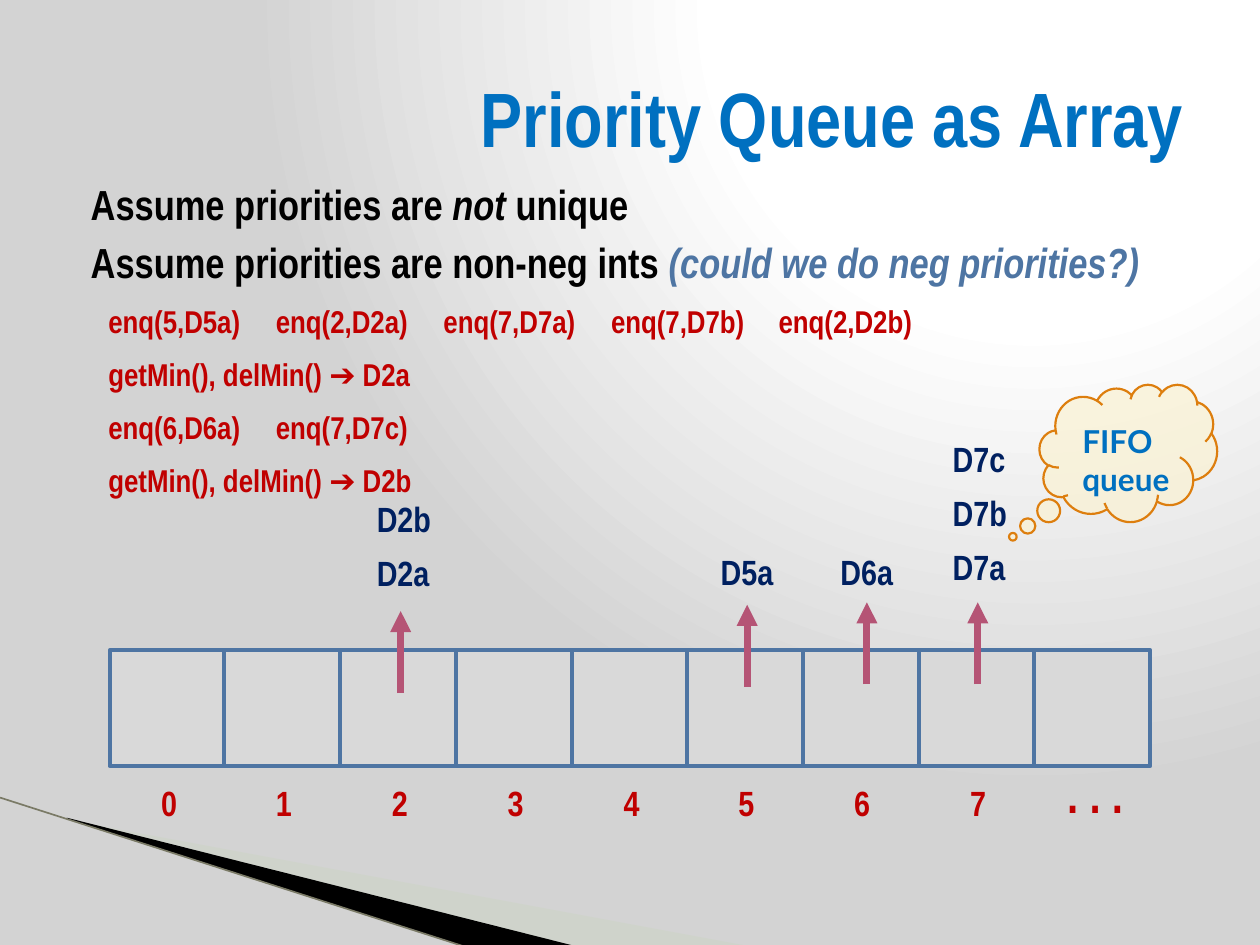
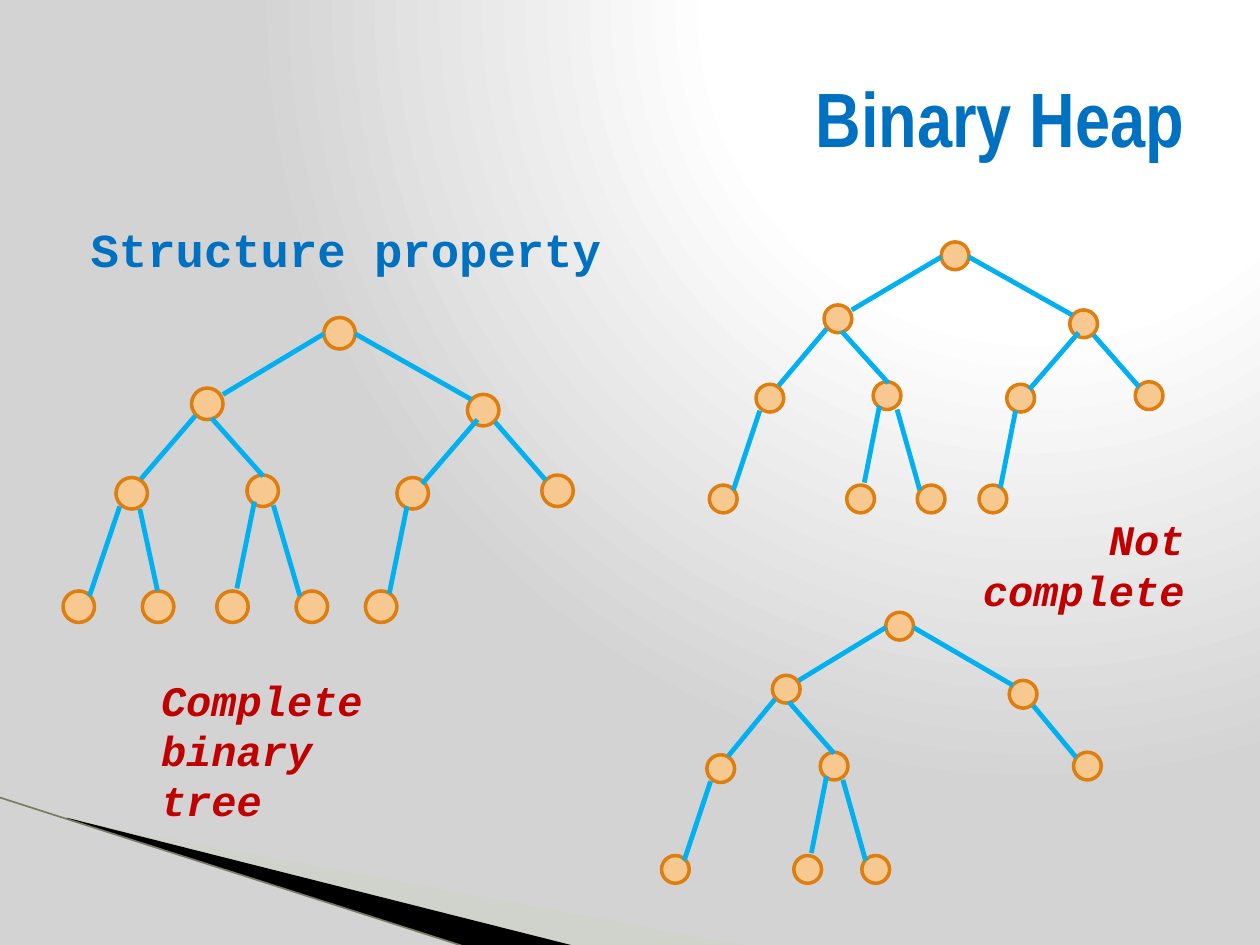
"""Build two slides on priority queues: an array of buckets and the binary heap structure."""
from lxml.etree import SubElement
from pptx import Presentation
from pptx.dml.color import RGBColor
from pptx.enum.shapes import MSO_CONNECTOR, MSO_SHAPE
from pptx.enum.text import MSO_ANCHOR, PP_ALIGN
from pptx.oxml import parse_xml
from pptx.oxml.ns import nsdecls, qn
from pptx.util import Pt

PX = 9144
STRAIGHT = MSO_CONNECTOR.STRAIGHT
RECTANGLE, OVAL, CLOUD = MSO_SHAPE.RECTANGLE, MSO_SHAPE.OVAL, MSO_SHAPE.CLOUD_CALLOUT
RIGHT, MIDDLE = PP_ALIGN.RIGHT, MSO_ANCHOR.MIDDLE

BLUE, STEEL, SKY, NAVY = "0070C0", "4E75A3", "00B0F0", "002060"
RED, ORANGE, PEACH, CREAM = "C00000", "DD7E0E", "F8C891", "FAF2D4"
ROSE, GREY, SAGE, OLIVE, BLACK = "B55475", "D9D9D9", "CBD4C0", "7A7A66", "000000"
NARROW, MONO, ROUND = "Arial Narrow", "Courier New", "Lato"


def paint(item, fill=None, line=None, width=1, alpha=None):
    if fill:
        item.fill.solid()
        item.fill.fore_color.rgb = RGBColor.from_string(fill)
    if alpha:
        color = item.element.spPr.find(".//" + qn("a:srgbClr"))
        SubElement(color, qn("a:alpha"), val=str(alpha * 1000))
    if line:
        item.line.color.rgb = RGBColor.from_string(line)
        item.line.width = Pt(width)
    else:
        item.line.fill.background()
    SubElement(item.element.spPr, qn("a:effectLst"))


def write(shape, text, font=NARROW, size=18, color=RED, italic=False, align=None,
          indent=12, space_before=None, new_paragraph=False):
    frame = shape.text_frame
    frame.word_wrap = True
    frame.margin_left = (10 + indent) * PX
    paragraph = frame.add_paragraph() if new_paragraph else frame.paragraphs[-1]
    if align:
        paragraph.alignment = align
    if space_before:
        paragraph.space_before = Pt(space_before)
    run = paragraph.add_run()
    run.text = text
    run.font.name = font
    run.font.size = Pt(size)
    run.font.bold = True
    run.font.italic = italic
    run.font.color.rgb = RGBColor.from_string(color)


presentation = Presentation()
presentation.slide_width = 1000 * PX
presentation.slide_height = 750 * PX
master = presentation.slide_master
layout = presentation.slide_layouts.get_by_name("Title Only")

master.background.fill.solid()
solid_fill = master.element.find(".//" + qn("p:bgPr")).find(qn("a:solidFill"))
solid_fill.getparent().replace(solid_fill, parse_xml(
    f'<a:gradFill {nsdecls("a")} rotWithShape="1"><a:gsLst>'
    '<a:gs pos="0"><a:srgbClr val="FFFFFF"/></a:gs>'
    '<a:gs pos="40000"><a:srgbClr val="FFFFFF"/></a:gs>'
    '<a:gs pos="100000"><a:srgbClr val="D3D3D3"/></a:gs></a:gsLst>'
    '<a:path path="circle"><a:fillToRect l="65000" t="0" r="0" b="98000"/></a:path>'
    '</a:gradFill>'))

slides = []
for title_text in ("Priority Queue as Array", "Binary Heap"):
    slide = presentation.slides.add_slide(layout)
    title = slide.shapes.title
    title.left, title.top, title.width, title.height = 50 * PX, 30 * PX, 900 * PX, 125 * PX
    title.text_frame.vertical_anchor = MIDDLE
    write(title, title_text, size=44, color=BLUE, align=RIGHT, indent=0)
    slides.append(slide)
array_slide, heap_slide = slides

wedges = [
    ([(55, 651), (595, 751), (456, 751), (55, 650)], SAGE, 40),
    ([(53, 649), (457, 751), (372, 752), (54, 650)], BLACK, None),
]
for points, fill, alpha in wedges:
    builder = array_slide.shapes.build_freeform(*points[0], scale=PX)
    builder.add_line_segments(points[1:])
    wedge = builder.convert_to_shape()
    paint(wedge, fill, alpha=alpha)
    layout.shapes.element.append(wedge.element)
edge = array_slide.shapes.add_connector(STRAIGHT, 0, 633 * PX, 371 * PX, 752 * PX)
paint(edge, line=OLIVE, width=0.95)
layout.shapes.element.append(edge.element)

assumptions = array_slide.shapes.add_textbox(50 * PX, 137 * PX, 900 * PX, 100 * PX)
write(assumptions, "Assume priorities are ", size=24, color=BLACK)
write(assumptions, "not", size=24, color=BLACK, italic=True)
write(assumptions, " unique", size=24, color=BLACK)
write(assumptions, "Assume priorities are non-neg ints ", size=24, color=BLACK,
      space_before=4, new_paragraph=True)
write(assumptions, "(could we do neg priorities?)", size=24, color=STEEL, italic=True)

labels = []
operations = [
    ["enq(5,D5a)", "enq(2,D2a)", "enq(7,D7a)", "enq(7,D7b)", "enq(2,D2b)"],
    ["getMin(), delMin() ➔ D2a"],
    ["enq(6,D6a)", "enq(7,D7c)"],
    ["getMin(), delMin() ➔ D2b"],
]
for row, calls in enumerate(operations):
    for column, call in enumerate(calls):
        width = 281 if len(calls) == 1 else 153
        labels.append((call, 64 + 133 * column, 235 + 42 * row, width, 40, {}))

for index in range(9):
    offset = 367 * index // 4
    cell = array_slide.shapes.add_shape(
        RECTANGLE, (87 + offset) * PX, 516 * PX, 92 * PX, 92 * PX)
    paint(cell, GREY, STEEL, 2.25)
    if index < 8:
        labels.append((str(index), 106 + offset, 615, 53, 44, {"size": 20}))
labels.append((". . .", 825, 602, 81, 57, {"size": 28}))

buckets = [
    (["D2a", "D2b"], 277, 433, 318, 550),
    (["D5a"], 550, 432, 593, 545),
    (["D6a"], 645, 432, 688, 543),
    (["D7a", "D7b", "D7c"], 734, 428, 776, 543),
]
for items, left, top, arrow_x, arrow_bottom in buckets:
    for level, item in enumerate(items):
        labels.append((item, left, top - 43 * level, 85, 44, {"size": 20, "color": NAVY}))
    arrow = array_slide.shapes.add_connector(
        STRAIGHT, arrow_x * PX, arrow_bottom * PX, arrow_x * PX, (arrow_bottom - 65) * PX)
    paint(arrow, line=ROSE, width=4)
    SubElement(arrow.element.spPr.find(qn("a:ln")), qn("a:tailEnd"), type="triangle")

cloud = array_slide.shapes.add_shape(CLOUD, 825 * PX, 305 * PX, 141 * PX, 109 * PX)
cloud.adjustments[0], cloud.adjustments[1] = -0.65, 0.61
paint(cloud, CREAM, ORANGE, 1.25, alpha=74)
labels.append(("FIFO queue", 837, 330, 113, 71, {"font": ROUND, "color": BLUE}))

caption = {"font": MONO, "size": 24, "italic": True, "indent": 0}
heap_labels = [
    ("Structure property", 50, 170, 500, 60, {"font": MONO, "size": 27, "color": BLUE}),
    ("Complete binary tree", 118, 530, 207, 91, caption),
    ("Not complete", 743, 403, 207, 91, {**caption, "align": RIGHT}),
]
for slide, slide_labels in ((array_slide, labels), (heap_slide, heap_labels)):
    for text, left, top, width, height, style in slide_labels:
        box = slide.shapes.add_textbox(left * PX, top * PX, width * PX, height * PX)
        write(box, text, **style)

tree_nodes = {
    "root": (207, 0, None),
    "L": (102, 56, (207, 13, 127, 61)),
    "R": (321, 61, (324, 65, 232, 13)),
    "LL": (42, 127, (105, 78, 62, 128)),
    "LR": (146, 125, (118, 80, 159, 126)),
    "RL": (265, 127, (329, 81, 285, 132)),
    "RR": (380, 125, (343, 83, 383, 129)),
    "LLL": (0, 217, (45, 150, 21, 221)),
    "LLR": (63, 217, (61, 152, 75, 217)),
    "LRL": (122, 217, (152, 146, 138, 215)),
    "LRR": (185, 217, (167, 149, 188, 221)),
    "RLL": (240, 217, (273, 150, 259, 219)),
}
trees = [
    (50, 252, 1, 1, []),
    (563, 192, 0.89, 0.89, ["LLR"]),
    (525, 486, 0.86, 0.89, ["LLR", "RL", "RLL"]),
]
for left, top, scale_x, scale_y, missing in trees:
    present = [node for name, node in tree_nodes.items() if name not in missing]
    for x, y, branch in present:
        node = heap_slide.shapes.add_shape(
            OVAL, round(left + x * scale_x) * PX, round(top + y * scale_y) * PX,
            round(25 * scale_x) * PX, round(25 * scale_y) * PX)
        paint(node, PEACH, ORANGE, 2)
    for x, y, branch in present:
        if branch:
            start_x, start_y, end_x, end_y = branch
            link = heap_slide.shapes.add_connector(
                STRAIGHT, round(left + start_x * scale_x) * PX,
                round(top + start_y * scale_y) * PX,
                round(left + end_x * scale_x) * PX, round(top + end_y * scale_y) * PX)
            paint(link, line=SKY, width=2.75)

presentation.save("out.pptx")
